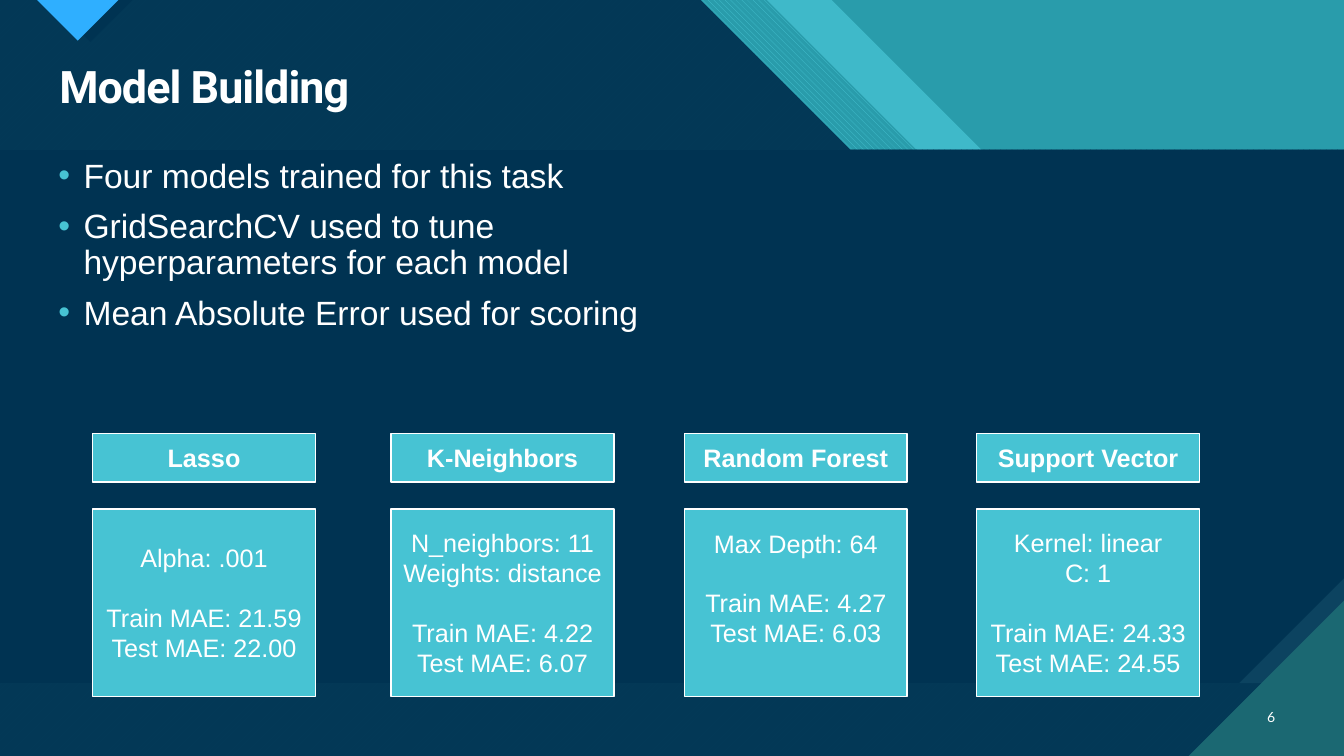
from lxml.etree import SubElement
from pptx import Presentation
from pptx.dml.color import RGBColor
from pptx.enum.dml import MSO_PATTERN
from pptx.enum.shapes import MSO_SHAPE
from pptx.enum.text import MSO_ANCHOR, PP_ALIGN
from pptx.oxml.ns import qn
from pptx.util import Pt

WIDE, HIGH = 960, 540
TOP, FOOT = 107, 488  # lower edges of the header and of the main panel
NAVY, TEAL, AQUA, WHITE = "003352", "299CAB", "47C3D3", "FFFFFF"
LINE = 21  # height of one line of card text

CARDS = [
    (66.2, "Lasso", ["Alpha: .001"], "21.59", "22.00", 0),
    (279.4, "K-Neighbors", ["N_neighbors: 11", "Weights: distance"],
     "4.22", "6.07", 0),
    (488.9, "Random Forest", ["Max Depth: 64"], "4.27", "6.03", LINE),
    (697.7, "Support Vector", ["Kernel: linear", "C: 1"],
     "24.33", "24.55", 0),
]
POINTS = [
    "Four models trained for this task",
    "GridSearchCV used to tune hyperparameters for each model",
    "Mean Absolute Error used for scoring",
]


def color(code):
    return RGBColor.from_string(code)


def paint(shape, fore, back=None, weave=None):
    """Fill a shape plainly, or with a pattern of two colours."""
    shape.shadow.inherit = False
    fill = shape.fill
    if weave is None:
        fill.solid()
    else:
        fill.patterned()
        fill.pattern = weave
        fill.back_color.rgb = color(back)
    fill.fore_color.rgb = color(fore)
    shape.line.fill.background()


def poly(slide, spots, *look):
    spots = [(Pt(x), Pt(y)) for x, y in spots]
    pen = slide.shapes.build_freeform(*spots[0])
    pen.add_line_segments(spots[1:], close=True)
    paint(pen.convert_to_shape(), *look)


def block(slide, box, fill):
    shape = slide.shapes.add_shape(MSO_SHAPE.RECTANGLE, *map(Pt, box))
    paint(shape, fill)
    return shape


def note(slide, box, anchor=MSO_ANCHOR.TOP):
    frame = slide.shapes.add_textbox(*map(Pt, box)).text_frame
    frame.word_wrap = True
    frame.vertical_anchor = anchor
    return frame


def write(par, text, size, face="Arial", bold=False):
    run = par.add_run()
    run.text = text
    font = run.font
    font.size, font.name, font.bold = Pt(size), face, bold
    font.color.rgb = color(WHITE)
    return run


def rows(frame, count):
    """Return the given number of paragraphs of an empty frame."""
    return [frame.paragraphs[0]] + [frame.add_paragraph()
                                    for _ in range(count - 1)]


def backdrop(slide, wide, high):
    block(slide, (0, 0, wide, high), TEAL)

    # Slanted bands of the header
    def band(left, right, *look):
        poly(slide, [(left, 0), (right, 0), (right + TOP, TOP),
                     (left + TOP, TOP)], *look)

    band(547.5, 594, "3FB9C9")
    band(500.5, 547.5, AQUA, TEAL, MSO_PATTERN.WIDE_DOWNWARD_DIAGONAL)

    # Dark ground
    poly(slide, [(0, 0), (500.5, 0), (500.5 + TOP, TOP), (wide, TOP),
                 (wide, high), (0, high)],
         "043B59", "033856", MSO_PATTERN.WIDE_UPWARD_DIAGONAL)

    # Main panel with a cut corner
    cut = 75
    block(slide, (0, TOP, wide, FOOT - TOP), "0C4360")
    poly(slide, [(0, TOP), (wide, TOP), (wide, FOOT - cut),
                 (wide - cut, FOOT), (0, FOOT)], NAVY)

    # Corner and top marker
    poly(slide, [(wide - 111, high), (wide, high), (wide, high - 111)],
         "1B6872")
    poly(slide, [(34.5, 0), (94.5, 0), (64.5, 30)], NAVY)
    poly(slide, [(26.5, 0), (84.5, 0), (55.5, 29)], "2FAFFF")


def heading(slide, box):
    par = note(slide, box).paragraphs[0]
    par.line_spacing = 0.9
    run = write(par, "Model Building", 32, "Roboto", True)
    run.font._element.set("spc", "-70")


def bullets(slide, box):
    frame = note(slide, box)
    for par, text in zip(rows(frame, len(POINTS)), POINTS):
        par.line_spacing, par.space_before = 0.9, Pt(10)
        props = par._p.get_or_add_pPr()
        props.set("marL", str(Pt(18)))
        props.set("indent", str(-Pt(18)))
        tint = SubElement(props, qn("a:buClr"))
        SubElement(tint, qn("a:srgbClr"), val=AQUA)
        SubElement(props, qn("a:buFont"), typeface="Arial")
        SubElement(props, qn("a:buChar"), char="•")
        write(par, text, 24)


def panel(slide, box, lines, bold=False):
    """Draw an outlined box of centred lines."""
    shape = block(slide, box, AQUA)
    shape.line.color.rgb = color(WHITE)
    shape.line.width = Pt(1)
    frame = shape.text_frame
    frame.word_wrap = True
    frame.vertical_anchor = MSO_ANCHOR.MIDDLE
    pars = rows(frame, len(lines))
    for par, text in zip(pars, lines):
        par.alignment = PP_ALIGN.CENTER
        write(par, text, 18, bold=bold)
    return frame, pars


def card(slide, box, name, tuned, train, test, lift):
    left, top, wide, high = box
    panel(slide, (left, top, wide, 34.6), [name], True)
    lines = tuned + [f"Train MAE: {train}", f"Test MAE: {test}"]
    frame, pars = panel(slide, (left, top + 54, wide, high - 54), lines)
    pars[len(tuned)].space_before = Pt(LINE)
    frame.margin_bottom = Pt(3.6 + lift)


def number(slide, box):
    par = note(slide, box, MSO_ANCHOR.MIDDLE).paragraphs[0]
    par.alignment = PP_ALIGN.RIGHT
    write(par, "6", 10, "Lato")


def main():
    deck = Presentation()
    deck.slide_width, deck.slide_height = Pt(WIDE), Pt(HIGH)
    slide = deck.slides.add_slide(deck.slide_layouts[6])
    backdrop(slide, WIDE, HIGH)
    heading(slide, (35.3, 42.5, 882.7, 42.5))
    number(slide, (886.3, 497.5, 31.7, 28.8))
    bullets(slide, (34.6, 110.2, 479.5, 190))
    for left, *facts in CARDS:
        card(slide, (left, 309.6, 159.1, 187.8), *facts)
    deck.save("out.pptx")


if __name__ == "__main__":
    main()
